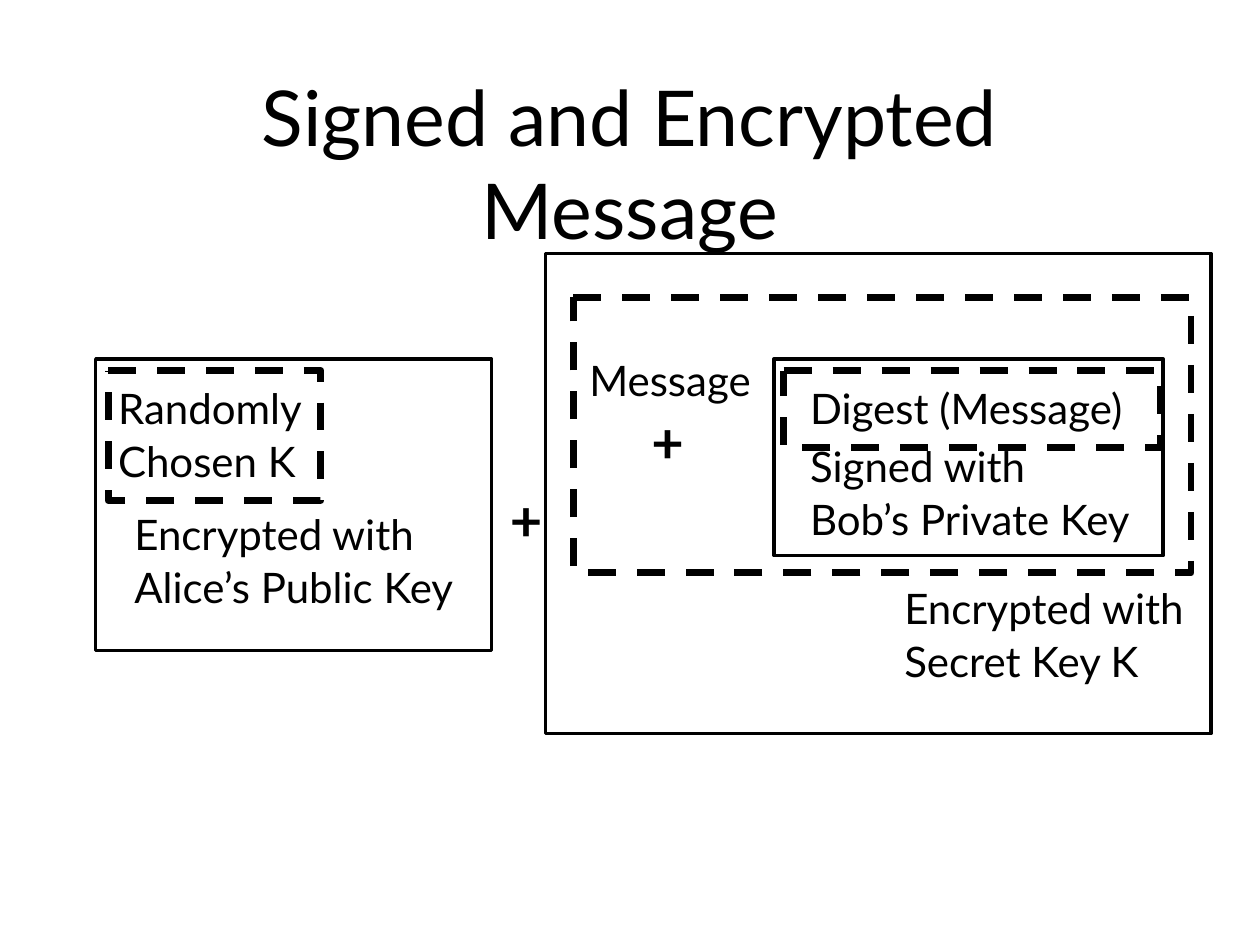
"""Build the slide showing how a signed and encrypted message is nested."""
from dataclasses import dataclass

import pptx
import pptx.dml.color
import pptx.enum.dml
import pptx.enum.shapes
import pptx.enum.text
import pptx.slide
import pptx.text.text
import pptx.util
from pptx.util import Cm

BLACK = pptx.dml.color.RGBColor(0, 0, 0)
FONT_NAME = "Lato"
FIRST_LINE_SPACING = 1.01
NEXT_LINE_SPACING = 1.06


@dataclass(frozen=True)
class Frame:
    left: float
    top: float
    width: float
    height: float
    dashed: bool = False


@dataclass(frozen=True)
class Label:
    text: str
    left: float
    top: float
    width: float
    height: float
    size: int = 24
    bold: bool = False


RANDOM_KEY = Label("Randomly\nChosen K", 2.13, 7.57, 4.52, 2.36)
RANDOM_KEY_FRAME = Frame(2.18, 7.47, 4.29, 2.62, dashed=True)
PUBLIC_KEY = Label("Encrypted with\nAlice’s Public Key", 2.46, 10.11, 7.21, 2.36)
PUBLIC_KEY_FRAME = Frame(1.93, 7.24, 7.98, 5.87)
MESSAGE = Label("Message", 11.63, 7.01, 4.04, 1.3)
MESSAGE_FRAME = Frame(11.56, 5.99, 12.45, 5.56, dashed=True)
SECRET_KEY = Label("Encrypted with\nSecret Key K", 17.98, 11.61, 6.45, 2.36)
SECRET_KEY_FRAME = Frame(11, 5.11, 13.41, 9.68)
OUTER_PLUS = Label("+", 10.03, 9.65, 1.17, 1.63, size=32, bold=True)
DIGEST = Label("Digest (Message)", 16.08, 7.57, 7.32, 1.3)
INNER_PLUS = Label("+", 12.88, 8.08, 1.17, 1.63, size=32, bold=True)
PRIVATE_KEY = Label("Signed with\nBob’s Private Key", 16.08, 8.74, 7.29, 2.36)
DIGEST_FRAME = Frame(15.8, 7.47, 7.59, 1.55, dashed=True)
PRIVATE_KEY_FRAME = Frame(15.6, 7.24, 7.85, 3.96)

ELEMENTS: list[Frame | Label] = [
    RANDOM_KEY, RANDOM_KEY_FRAME, PUBLIC_KEY, PUBLIC_KEY_FRAME,
    MESSAGE, MESSAGE_FRAME, SECRET_KEY, SECRET_KEY_FRAME,
    OUTER_PLUS, DIGEST, INNER_PLUS, PRIVATE_KEY, DIGEST_FRAME, PRIVATE_KEY_FRAME,
]


def format_text(text_frame: pptx.text.text.TextFrame, size: int, bold: bool = False) -> None:
    """Apply the slide's font and line spacing to every paragraph."""
    for index, paragraph in enumerate(text_frame.paragraphs):
        paragraph.line_spacing = NEXT_LINE_SPACING if index else FIRST_LINE_SPACING
        for run in paragraph.runs:
            run.font.name = FONT_NAME
            run.font.size = pptx.util.Pt(size)
            run.font.bold = bold
            run.font.color.rgb = BLACK


def add_title(slide: pptx.slide.Slide, text: str) -> None:
    """Place and format the title placeholder."""
    title = slide.shapes.title
    title.left, title.top, title.width, title.height = Cm(1.9), Cm(1.22), Cm(21.59), Cm(4.09)
    text_frame = title.text_frame
    text_frame.text = text
    text_frame.word_wrap = True
    text_frame.auto_size = pptx.enum.text.MSO_AUTO_SIZE.NONE
    text_frame.vertical_anchor = pptx.enum.text.MSO_ANCHOR.MIDDLE
    text_frame.paragraphs[0].alignment = pptx.enum.text.PP_ALIGN.CENTER
    format_text(text_frame, 44)


def add_frame(slide: pptx.slide.Slide, frame: Frame) -> None:
    """Draw an unfilled box, thick and dashed or thin and solid."""
    shape = slide.shapes.add_shape(
        pptx.enum.shapes.MSO_SHAPE.ROUNDED_RECTANGLE,
        Cm(frame.left), Cm(frame.top), Cm(frame.width), Cm(frame.height),
    )
    shape.adjustments[0] = 0
    shape.shadow.inherit = False
    shape.fill.background()
    shape.line.color.rgb = BLACK
    shape.line.width = pptx.util.Pt(4 if frame.dashed else 2)
    if frame.dashed:
        shape.line.dash_style = pptx.enum.dml.MSO_LINE.DASH


def add_label(slide: pptx.slide.Slide, label: Label) -> None:
    """Write a label in a text box that does not wrap."""
    text_box = slide.shapes.add_textbox(
        Cm(label.left), Cm(label.top), Cm(label.width), Cm(label.height)
    )
    text_frame = text_box.text_frame
    text_frame.text = label.text
    text_frame.word_wrap = False
    text_frame.auto_size = pptx.enum.text.MSO_AUTO_SIZE.SHAPE_TO_FIT_TEXT
    format_text(text_frame, label.size, label.bold)


def main() -> None:
    """Create the presentation and save it."""
    presentation = pptx.Presentation()
    presentation.slide_width, presentation.slide_height = Cm(25.4), Cm(19.05)
    slide = presentation.slides.add_slide(presentation.slide_layouts.get_by_name("Title Only"))
    add_title(slide, "Signed and Encrypted Message")
    for element in ELEMENTS:
        if isinstance(element, Frame):
            add_frame(slide, element)
        else:
            add_label(slide, element)
    presentation.save("out.pptx")


if __name__ == "__main__":
    main()
